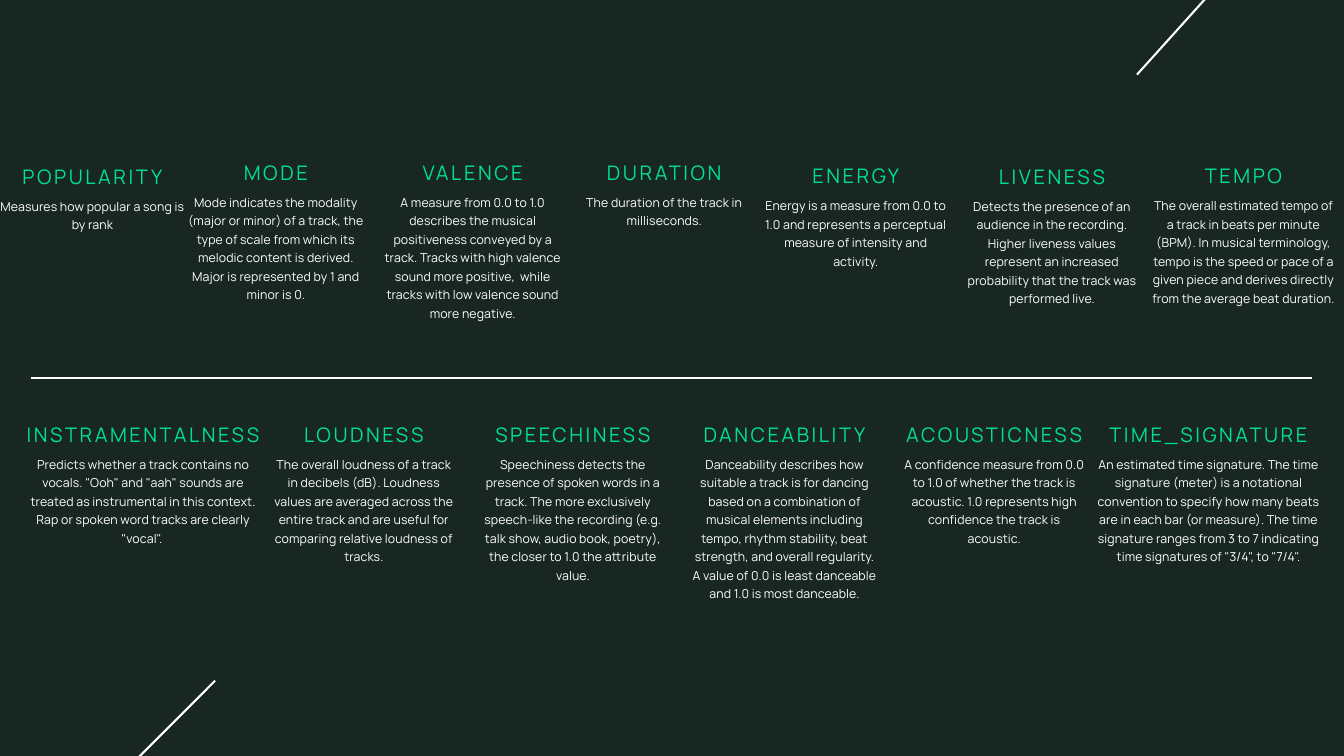
"""Builds a slide that defines thirteen audio features of a music track."""
import pptx
import pptx.dml.color
import pptx.enum.shapes
import pptx.enum.text
import pptx.oxml.ns
import pptx.util
from lxml import etree
from pptx.util import Inches


def rgb(value):
    return pptx.dml.color.RGBColor.from_string(value)


def add_text(shapes, text, left, top, width, height, size, leading, color, spacing):
    tb = shapes.add_textbox(Inches(left), Inches(top), Inches(width), Inches(height))
    tf = tb.text_frame
    tf.word_wrap = True
    tf.auto_size = pptx.enum.text.MSO_AUTO_SIZE.SHAPE_TO_FIT_TEXT
    tf.margin_left = tf.margin_right = tf.margin_top = tf.margin_bottom = 0
    p = tf.paragraphs[0]
    p.text = text
    p.alignment = pptx.enum.text.PP_ALIGN.CENTER
    p.line_spacing = pptx.util.Pt(leading)
    r = p.runs[0]
    r.font.name = "Manrope"
    r.font.size = pptx.util.Pt(size)
    r.font.color.rgb = rgb(color)
    r._r.get_or_add_rPr().set("spc", str(spacing))


GREEN, WHITE, DARK = "00E091", "FFFFFF", "182722"
COLUMN = 2.75
LOWER = 6.23

features = [
    ("POPULARITY", 0, 2.39, COLUMN, 0.52, "Measures how popular a song is by rank"),
    ("MODE", 2.73, 2.33, COLUMN, 1.93,
     "Mode indicates the modality (major or minor) of a track, the type of scale from "
     "which its melodic content is derived. Major is represented by 1 and minor is 0."),
    ("VALENCE", 5.66, 2.33, COLUMN, 1.87,
     "A measure from 0.0 to 1.0 describes the musical positiveness conveyed by a track. "
     "Tracks with high valence sound more positive,  while tracks with low valence sound "
     "more negative."),
    ("DURATION", 8.51, 2.33, COLUMN, 1.18, "The duration of the track in milliseconds."),
    ("ENERGY", 11.36, 2.38, COLUMN, 1.06,
     "Energy is a measure from 0.0 to 1.0 and represents a perceptual measure of "
     "intensity and activity."),
    ("LIVENESS", 14.28, 2.39, COLUMN, 1.6,
     "Detects the presence of an audience in the recording. Higher liveness values "
     "represent an increased probability that the track was performed live."),
    ("TEMPO", 17.13, 2.38, COLUMN, 2.14,
     "The overall estimated tempo of a track in beats per minute (BPM). In musical "
     "terminology, tempo is the speed or pace of a given piece and derives directly from "
     "the average beat duration."),
    ("INSTRAMENTALNESS", 0.39, LOWER, 3.48, 1.33,
     'Predicts whether a track contains no vocals. "Ooh" and "aah" sounds are treated as '
     'instrumental in this context. Rap or spoken word tracks are clearly "vocal". '),
    ("LOUDNESS", 4.04, LOWER, COLUMN, 1.87,
     "The overall loudness of a track in decibels (dB). Loudness values are averaged "
     "across the entire track and are useful for comparing relative loudness of tracks."),
    ("SPEECHINESS", 7.15, LOWER, COLUMN, 1.87,
     "Speechiness detects the presence of spoken words in a track. The more exclusively "
     "speech-like the recording (e.g. talk show, audio book, poetry), the closer to 1.0 "
     "the attribute value."),
    ("DANCEABILITY", 10.3, LOWER, COLUMN, 2.41,
     "Danceability describes how suitable a track is for dancing based on a combination "
     "of musical elements including tempo, rhythm stability, beat strength, and overall "
     "regularity. A value of 0.0 is least danceable and 1.0 is most danceable."),
    ("ACOUSTICNESS", 13.42, LOWER, COLUMN, 1.33,
     "A confidence measure from 0.0 to 1.0 of whether the track is acoustic. 1.0 "
     "represents high confidence the track is acoustic."),
    ("TIME_SIGNATURE", 16.33, LOWER, 3.31, 1.87,
     "An estimated time signature. The time signature (meter) is a notational convention "
     "to specify how many beats are in each bar (or measure). The time signature ranges "
     'from 3 to 7 indicating time signatures of "3/4", to "7/4".'),
]

prs = pptx.Presentation()
prs.slide_width = Inches(20)
prs.slide_height = Inches(11.25)
s = prs.slides.add_slide(prs.slide_layouts[6])
s.background.fill.solid()
s.background.fill.fore_color.rgb = rgb(DARK)

lower_slash = (-0.94, 14.28, 3.2, 10.13)
divider = (0.46, 5.63, 19.53, 5.63)
upper_slash = (16.92, 1.11, 20.84, -3.24)
for x1, y1, x2, y2 in (lower_slash, divider, upper_slash):
    line = s.shapes.add_connector(pptx.enum.shapes.MSO_CONNECTOR.STRAIGHT,
                                  Inches(x1), Inches(y1), Inches(x2), Inches(y2))
    line.line.color.rgb = rgb(WHITE)
    line.line.width = pptx.util.Pt(2.2)
    etree.SubElement(line._element.spPr, pptx.oxml.ns.qn("a:effectLst"))

for name, left, top, width, height, description in features:
    group = s.shapes.add_group_shape()
    add_text(group.shapes, name, left, top, width, 0.39, 21.43, 30, GREEN, 279)
    add_text(group.shapes, description, left, top + 0.515, width, height,
             13.23, 19.85, WHITE, 13)

prs.save("out.pptx")
